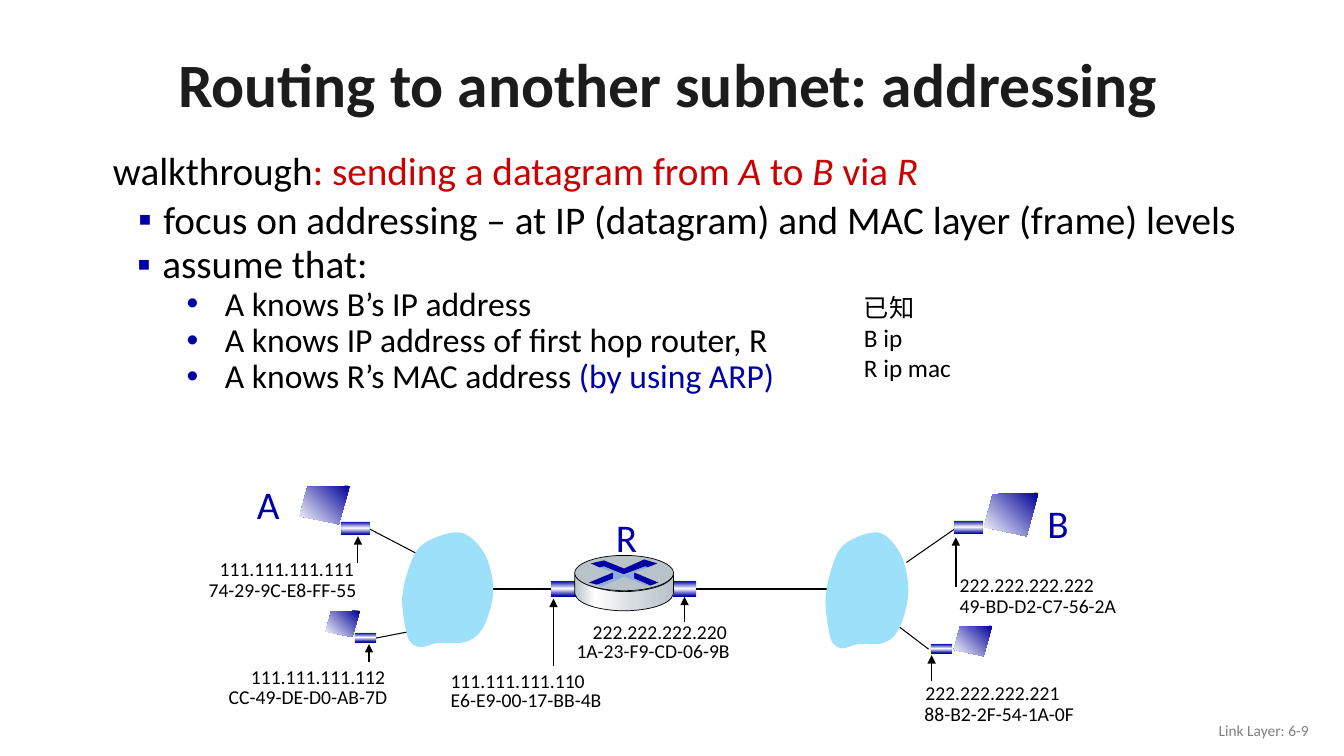
from dataclasses import dataclass
from typing import Any, NamedTuple, Optional, Union

from lxml import etree
from pptx import Presentation
from pptx import util as u
from pptx.dml.color import RGBColor
from pptx.enum import shapes, text
from pptx.oxml import parse_xml
from pptx.oxml.ns import nsdecls, qn


@dataclass(frozen=True)
class Theme:
    font: str = "Calibri"
    mark: str = "Arial"
    head: str = "1C1C1C"
    ink: str = "000000"
    grey: str = "808080"
    red: str = "CC0000"
    blue: str = "0000A8"
    cloud: str = "9CE0FA"
    steel: str = "B8C2C9"
    cross: str = "0000A3"
    shade: str = "8FAADC"
    edge: str = "008000"
    title: int = 44
    big: int = 28
    mid: int = 24
    note: int = 18
    tag: int = 14
    foot: int = 11


T = Theme()


class Run(NamedTuple):
    words: str
    color: str = T.ink
    size: int = T.big
    slant: bool = False
    bold: bool = False


class Level(NamedTuple):
    left: float
    hang: float
    mark: str = ""
    gap: int = 0


class Grade(NamedTuple):
    stops: tuple
    angle: int


class Box(NamedTuple):
    left: float
    top: float
    width: float
    height: float


class Wire(NamedTuple):
    start: tuple
    end: tuple
    weight: float = 0.75
    arrow: bool = False


class Tag(NamedTuple):
    words: str
    left: float
    top: float
    width: float


Fill = Union[str, Grade]
LEAD, ITEM, SUB = Level(0.12, 0.12), Level(0.5, 0.25, "▪", 5), Level(1.12, 0.38, "•")
BAND = Grade(((0, T.blue), (50, "FFFFFF"), (99, T.blue)), 0)
GLASS = Grade(((0, "000099"), (100, "FFFFFF")), 135)
METAL = Grade(((0, T.steel), (21, "FFFFFF"), (60, "D6DCE0"), (100, T.steel)), 0)

deck = Presentation()
deck.slide_width, deck.slide_height = u.Inches(13.33), u.Inches(7.5)
slide = deck.slides.add_slide(deck.slide_layouts[3])


# Text
def write(para: Any, runs: list) -> None:
    for item in runs:
        run = para.add_run()
        run.text = item.words
        font = run.font
        font.name, font.size = T.font, u.Pt(item.size)
        font.italic, font.bold = item.slant, item.bold
        font.color.rgb = RGBColor.from_string(item.color)


def place(shape: Any, box: Box) -> None:
    shape.left, shape.top, shape.width, shape.height = map(u.Inches, box)


def indent(para: Any, level: Level, first: bool) -> None:
    props = para._p.get_or_add_pPr()
    props.set("marL", str(u.Inches(level.left)))
    props.set("indent", str(-u.Inches(level.hang)))
    if level.mark:
        color = etree.SubElement(props, qn("a:buClr"))
        etree.SubElement(color, qn("a:srgbClr")).set("val", T.blue)
        etree.SubElement(props, qn("a:buFont")).set("typeface", T.mark)
        etree.SubElement(props, qn("a:buChar")).set("char", level.mark)
    else:
        etree.SubElement(props, qn("a:buNone"))
    para.line_spacing = 0.9
    para.space_before = u.Pt(0 if first else level.gap)


def fill_list(holder: Any, rows: list) -> None:
    frame = holder.text_frame
    frame.auto_size = text.MSO_AUTO_SIZE.NONE
    for i, (level, runs) in enumerate(rows):
        para = frame.add_paragraph() if i else frame.paragraphs[0]
        para.level = (LEAD, ITEM, SUB).index(level)
        indent(para, level, i == 0)
        write(para, runs)


def add_text(box: Box, lines: list, wrap: bool = False) -> Any:
    frame = slide.shapes.add_textbox(*map(u.Inches, box)).text_frame
    frame.word_wrap = wrap
    frame.auto_size = text.MSO_AUTO_SIZE.SHAPE_TO_FIT_TEXT
    for i, run in enumerate(lines):
        write(frame.add_paragraph() if i else frame.paragraphs[0], [run])
    return frame


# Shapes
def paint(shape: Any, fill: Fill, line: Optional[str] = None, weight: float = 0.5) -> None:
    shape.shadow.inherit = False
    shape.fill.solid()
    if isinstance(fill, Grade):
        stops = "".join(f'<a:gs pos="{at * 1000}"><a:srgbClr val="{color}"/></a:gs>'
                        for at, color in fill.stops)
        props = shape._element.spPr
        props.replace(props.find(qn("a:solidFill")), parse_xml(
            f'<a:gradFill {nsdecls("a")} rotWithShape="1"><a:gsLst>{stops}</a:gsLst>'
            f'<a:lin ang="{fill.angle * 60000}" scaled="0"/></a:gradFill>'))
    else:
        shape.fill.fore_color.rgb = RGBColor.from_string(fill)
    if line:
        shape.line.color.rgb = RGBColor.from_string(line)
        shape.line.width = u.Pt(weight)
    else:
        shape.line.fill.background()


def bend(shape: Any, steps: list) -> None:
    """Join the three points of each six-number step into one cubic curve."""
    legs = iter(shape._element.findall(".//" + qn("a:lnTo")))
    for step in steps[1:]:
        leg = next(legs)
        if len(step) == 6:
            leg.tag = qn("a:cubicBezTo")
            for _ in range(2):
                spare = next(legs)
                leg.append(spare[0])
                spare.getparent().remove(spare)


def add_form(steps: list, fill: Fill, line: Optional[str] = None,
             at: tuple = (0, 0), scale: tuple = (1, 1)) -> None:
    pairs = [step[i:i + 2] for step in steps for i in range(0, len(step), 2)]
    dots = [tuple(u.Inches(at[i] + pair[i] * scale[i]) for i in (0, 1)) for pair in pairs]
    form = slide.shapes.build_freeform(*dots[0])
    form.add_line_segments(dots[1:], close=True)
    shape = form.convert_to_shape()
    bend(shape, steps)
    paint(shape, fill, line)


def add_wire(wire: Wire) -> None:
    link = slide.shapes.add_connector(shapes.MSO_CONNECTOR.STRAIGHT,
                                      *map(u.Inches, wire.start + wire.end))
    link.line.color.rgb = RGBColor.from_string(T.ink)
    link.line.width = u.Pt(wire.weight)
    if wire.arrow:
        etree.SubElement(link.line._get_or_add_ln(), qn("a:tailEnd")).set("type", "triangle")
    etree.SubElement(link._element.spPr, qn("a:effectLst"))


def add_card(card: Box) -> None:
    shape = slide.shapes.add_shape(shapes.MSO_SHAPE.RECTANGLE, *map(u.Inches, card))
    shape.rotation = 90
    paint(shape, BAND, T.edge, 0.75)
    color = shape.line._ln.find(".//" + qn("a:srgbClr"))
    etree.SubElement(color, qn("a:alpha")).set("val", "15000")


# Title and lists
title, lead, known = slide.placeholders
place(title, Box(0.88, 0.38, 11.5, 0.98))
title.text_frame.vertical_anchor = text.MSO_ANCHOR.MIDDLE
title.text_frame.auto_size = text.MSO_AUTO_SIZE.NONE
head = title.text_frame.paragraphs[0]
head.alignment, head.line_spacing = text.PP_ALIGN.CENTER, 0.9
write(head, [Run("Routing to another subnet: addressing", T.head, T.title, bold=True)])

place(lead, Box(1.02, 1.45, 11.85, 1.31))
fill_list(lead, [
    (LEAD, [Run("walkthrough"), Run(": sending a datagram from ", T.red),
            Run("A", T.red, slant=True), Run(" to ", T.red), Run("B", T.red, slant=True),
            Run(" via ", T.red), Run("R", T.red, slant=True)]),
    (ITEM, [Run("focus on addressing – at IP (datagram) and MAC layer (frame) levels")])])
place(known, Box(1.01, 2.38, 11.15, 1.73))
fill_list(known, [
    (ITEM, [Run("assume that:")]),
    (SUB, [Run("A knows B’s IP address", size=T.mid)]),
    (SUB, [Run("A knows IP address of first hop router, R", size=T.mid)]),
    (SUB, [Run("A knows R’s MAC address ", size=T.mid),
           Run("(by using ARP)", T.blue, T.mid)])])

# Side note and footer
add_text(Box(8.47, 2.85, 3.25, 1.01),
         [Run(line, size=T.note) for line in ("已知", "B ip", "R ip mac")], wrap=True)
foot = add_text(Box(10.08, 7.05, 3, 0.4), [Run("Link Layer: 6-9", T.grey, T.foot)], wrap=True)
foot.auto_size = text.MSO_AUTO_SIZE.NONE
foot.vertical_anchor = text.MSO_ANCHOR.MIDDLE
foot.paragraphs[0].alignment = text.PP_ALIGN.RIGHT

# Links and clouds
for wire in (Wire((4.7, 5.84), (8.23, 5.84), 1.25),
             Wire((3.65, 5.24), (4.13, 5.49)), Wire((3.73, 6.33), (4.04, 6.27)),
             Wire((8.99, 5.58), (9.48, 5.24)), Wire((9.21, 6.44), (8.92, 6.22))):
    add_wire(wire)
CLOUD = [(0.28, 0.1), (0.2, 0.14, 0.16, 0.18, 0.12, 0.26), (0.08, 0.35, 0.03, 0.5, 0.02, 0.59),
         (0, 0.69, 0.01, 0.76, 0.02, 0.84), (0.03, 0.92, 0.05, 1.02, 0.07, 1.08),
         (0.1, 1.13, 0.13, 1.15, 0.18, 1.16), (0.23, 1.17, 0.28, 1.13, 0.36, 1.12),
         (0.43, 1.11, 0.56, 1.13, 0.63, 1.11), (0.71, 1.09, 0.76, 1.05, 0.81, 0.97),
         (0.85, 0.9, 0.9, 0.75, 0.91, 0.64), (0.92, 0.52, 0.89, 0.37, 0.84, 0.26),
         (0.79, 0.16, 0.7, 0.06, 0.61, 0.03), (0.52, 0, 0.36, 0.06, 0.28, 0.1)]
add_form(CLOUD, T.cloud, at=(3.98, 5.26))
add_form(CLOUD, T.cloud, at=(8.18, 5.26), scale=(0.91, 1.01))

# Network cards
for card in (Box(6.69, 5.7, 0.15, 0.28), Box(5.53, 5.7, 0.15, 0.28),
             Box(3.46, 5.1, 0.13, 0.28), Box(3.58, 6.22, 0.09, 0.21),
             Box(9.54, 5.09, 0.13, 0.28), Box(9.29, 6.33, 0.09, 0.21)):
    add_card(card)

# Router
add_form([(6.68, 5.7), (6.68, 5.89), (6.65, 6.02, 6.36, 6.06, 6.19, 6.06),
          (6.03, 6.06, 5.73, 6.02, 5.7, 5.89), (5.7, 5.7),
          (5.74, 5.81, 6.02, 5.87, 6.19, 5.87), (6.35, 5.87, 6.64, 5.83, 6.68, 5.7)],
         METAL, T.ink)
lid = slide.shapes.add_shape(shapes.MSO_SHAPE.OVAL, *map(u.Inches, (5.7, 5.51, 0.98, 0.35)))
paint(lid, T.steel, T.ink)
for fill, dots in (
        (T.cross, [(6.39, 5.55), (6.52, 5.59), (6.42, 5.63), (6.4, 5.62), (6.18, 5.7),
                   (5.99, 5.62), (5.95, 5.63), (5.86, 5.59), (5.99, 5.56), (6.19, 5.64)]),
        (T.cross, [(6.29, 5.68), (6.53, 5.78), (6.45, 5.81), (6.29, 5.74)]),
        (T.blue, [(6.08, 5.68), (6.08, 5.75), (5.92, 5.8), (5.84, 5.78)]),
        (T.shade, [(5.95, 5.63), (5.99, 5.62), (6.19, 5.7), (6.4, 5.62), (6.43, 5.63),
                   (6.29, 5.68), (6.29, 5.74), (6.45, 5.81), (6.41, 5.81), (6.19, 5.72),
                   (5.96, 5.82), (5.93, 5.8), (6.08, 5.74), (6.08, 5.68)])):
    add_form(dots, fill)

# Host screens
PANE = [(1, 0), (0.16, 0.03), (0, 0.79), (0.78, 1)]
for pane in (Box(2.97, 4.82, 0.5, 0.38), Box(3.23, 6.06, 0.34, 0.26),
             Box(9.76, 4.89, 0.54, 0.43), Box(9.46, 6.21, 0.38, 0.3)):
    add_form(PANE, GLASS, at=pane[:2], scale=pane[2:])

# Names and addresses
for tag in (Tag("A", 2.45, 4.72, 0.43), Tag("R", 6.01, 5.04, 0.42), Tag("B", 10.29, 4.9, 0.42)):
    add_text(Box(tag.left, tag.top, tag.width, 0.57), [Run(tag.words, T.blue)])
for tag in (Tag("1A-23-F9-CD-06-9B", 5.62, 6.29, 1.73), Tag("222.222.222.220", 5.78, 6.1, 1.55),
            Tag("111.111.111.110", 4.37, 6.59, 1.55), Tag("E6-E9-00-17-BB-4B", 4.37, 6.78, 1.71),
            Tag("CC-49-DE-D0-AB-7D", 2.17, 6.75, 1.79), Tag("111.111.111.112", 2.39, 6.55, 1.55),
            Tag("111.111.111.111", 2.08, 5.48, 1.55), Tag("74-29-9C-E8-FF-55", 1.97, 5.68, 1.68),
            Tag("222.222.222.222", 9.42, 5.63, 1.55), Tag("49-BD-D2-C7-56-2A", 9.42, 5.84, 1.77),
            Tag("222.222.222.221", 9.08, 6.71, 1.55), Tag("88-B2-2F-54-1A-0F", 9.07, 6.91, 1.7)):
    add_text(Box(tag.left, tag.top, tag.width, 0.34), [Run(tag.words, size=T.tag)])

# Arrows from address to card
for x, low, high, weight in ((3.66, 6.57, 6.39, 0.75), (3.55, 5.59, 5.32, 0.75),
                             (5.49, 6.61, 5.94, 0.75), (6.79, 6.17, 5.92, 0.75),
                             (9.48, 5.82, 5.33, 1), (9.24, 6.76, 6.5, 1)):
    add_wire(Wire((x, low), (x, high), weight, True))

deck.save("out.pptx")
